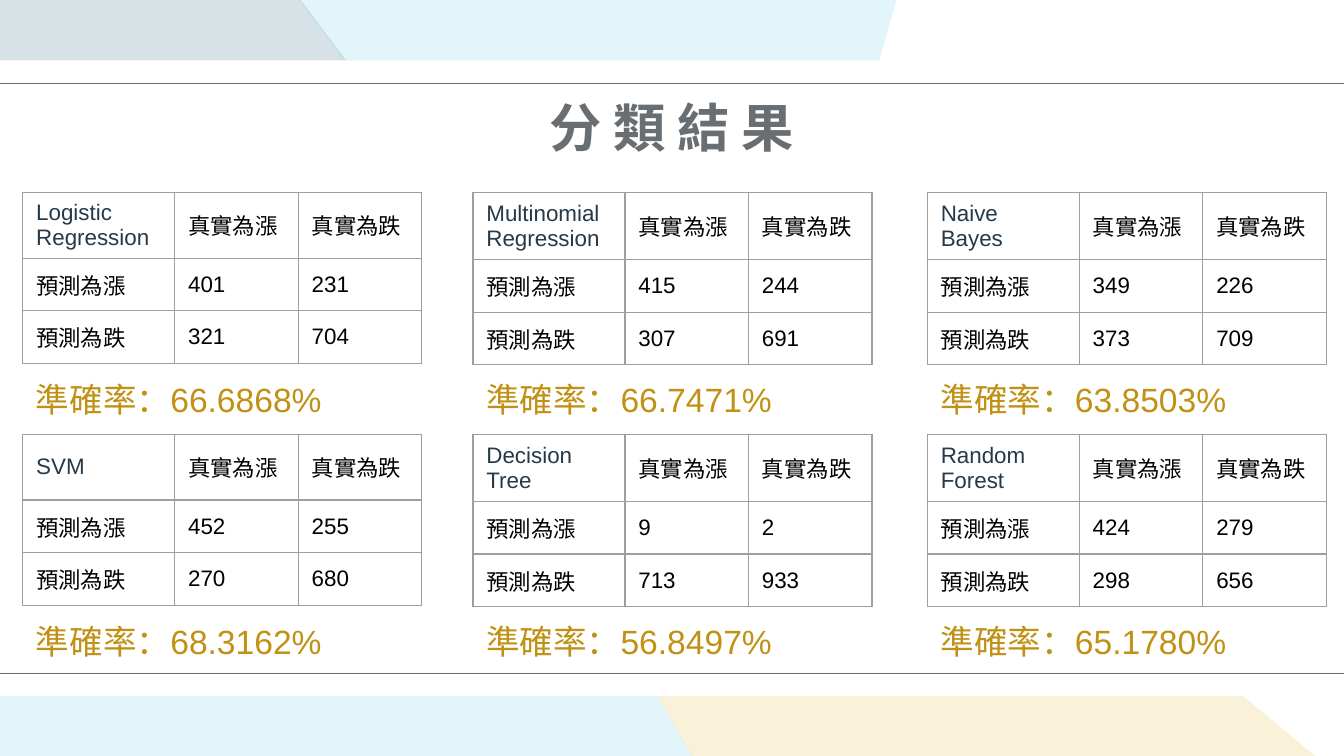
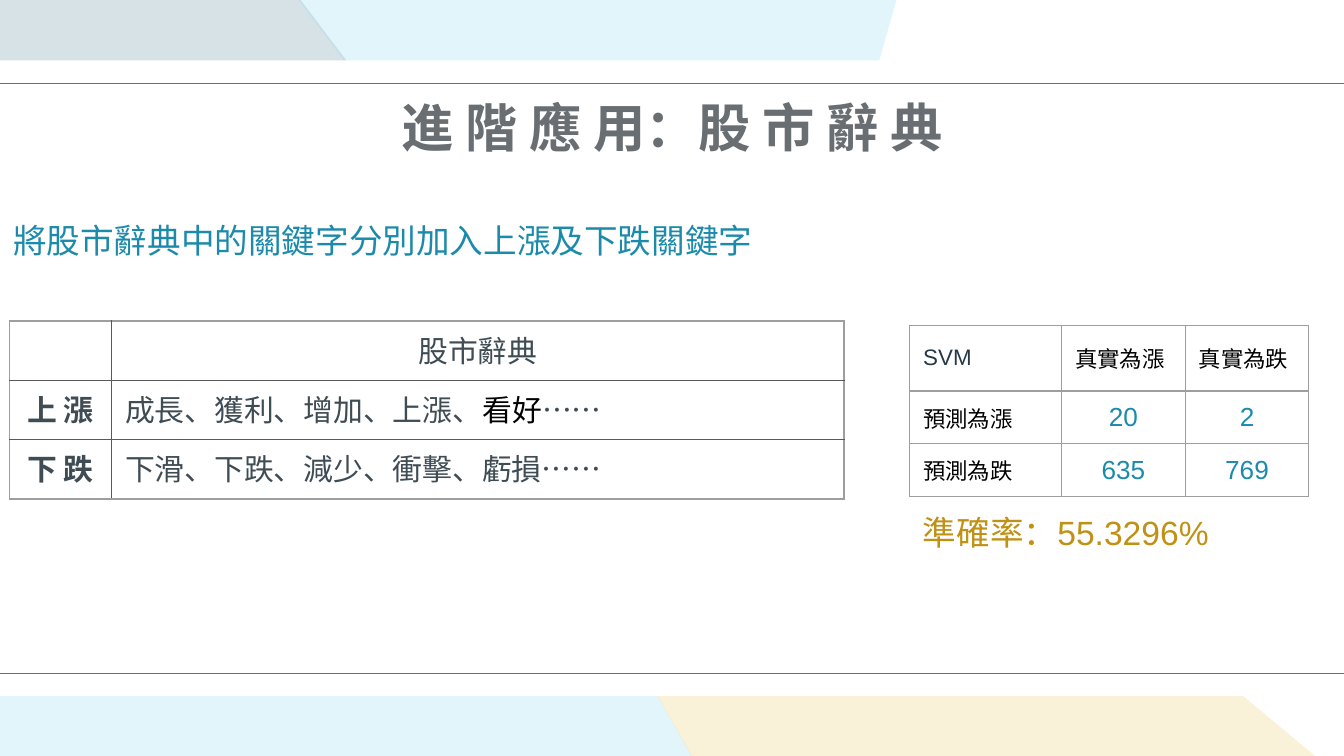
from lxml import etree
from pptx import Presentation
from pptx.dml.color import RGBColor
from pptx.enum.shapes import MSO_CONNECTOR, MSO_SHAPE, PP_PLACEHOLDER
from pptx.enum.text import MSO_ANCHOR as Anchor, MSO_AUTO_SIZE as AutoSize, PP_ALIGN as Align
from pptx.oxml.ns import qn
from pptx.util import Pt

BLACK = RGBColor(0x00, 0x00, 0x00)
WHITE = RGBColor(0xFF, 0xFF, 0xFF)
GRAY = RGBColor(0x69, 0x6E, 0x72)
SLATE = RGBColor(0x3F, 0x4C, 0x54)
NAVY = RGBColor(0x26, 0x39, 0x49)
GOLD = RGBColor(0xC1, 0x91, 0x15)
TEAL = RGBColor(0x1C, 0x8A, 0xAA)
BORDER = RGBColor(0x9E, 0x9E, 0x9E)
DARK_BORDER = RGBColor(0x59, 0x59, 0x59)
STEEL_BAND = RGBColor(0x96, 0xB3, 0xC1)
SKY_BAND = RGBColor(0x9E, 0xDD, 0xEF)
SAND_BAND = RGBColor(0xF7, 0xE5, 0xB7)

LATIN_FONT = "Arial"
CJK_FONT = "Noto Sans CJK TC"
OUTER_EDGE = (BORDER, 0.75)
INNER_EDGE = (DARK_BORDER, 1)

BANDS = [
    (STEEL_BAND, 38, [(-6, -9), (-6, 187), (395, 309), (152, -11.5)]),
    (SKY_BAND, 29, [(148, -16), (482.4, -6.5), (392.4, 309)]),
    (SKY_BAND, 29, [(-5, 187), (-5, 425.5), (383, 425.5), (299.5, 282)]),
    (SAND_BAND, 52, [(299.5, 281), (383, 427), (731, 427), (434, 180), (393, 309)]),
]
RULE_HEIGHTS = (44.6, 360.7)

TABLE_LEFTS = (12.2, 253.4, 496.8)
TABLE_TOPS = (103, 232.6)
RESULTS = [
    ("Logistic Regression", (401, 231, 321, 704), "66.6868%"),
    ("Multinomial Regression", (415, 244, 307, 691), "66.7471%"),
    ("Naive Bayes", (349, 226, 373, 709), "63.8503%"),
    ("SVM", (452, 255, 270, 680), "68.3162%"),
    ("Decision Tree", (9, 2, 713, 933), "56.8497%"),
    ("Random Forest", (424, 279, 298, 656), "65.1780%"),
]


def write_text(frame, spans, size=12, color=BLACK, font=LATIN_FONT, bold=False, align=Align.LEFT):
    para = frame.paragraphs[0]
    para.alignment = align
    if isinstance(spans, str):
        spans = [(spans, color)]
    for text, span_color in spans:
        span = para.add_run()
        span.text = text
        span.font.name = font
        span.font.size = Pt(size)
        span.font.bold = bold
        span.font.color.rgb = span_color
        east_asian = etree.SubElement(span._r.get_or_add_rPr(), qn("a:ea"))
        east_asian.set("typeface", CJK_FONT)


def add_label(page, text, left, top, width, **text_format):
    box = page.shapes.add_textbox(Pt(left), Pt(top), Pt(width), Pt(29))
    box.text_frame.word_wrap = True
    box.text_frame.auto_size = AutoSize.SHAPE_TO_FIT_TEXT
    write_text(box.text_frame, text, size=18, **text_format)


def paint(shape, color, opacity=100):
    shape.shadow.inherit = False
    shape.fill.solid()
    shape.fill.fore_color.rgb = color
    shape.line.fill.background()
    if opacity < 100:
        alpha = etree.SubElement(next(shape.element.iter(qn("a:srgbClr"))), qn("a:alpha"))
        alpha.set("val", str(opacity * 1000))


def add_band(page, color, opacity, points):
    builder = page.shapes.build_freeform(*points[0], scale=Pt(1))
    builder.add_line_segments(points[1:], close=True)
    band = builder.convert_to_shape()
    paint(band, color, opacity)
    return band


def add_rule(page, height):
    rule = page.shapes.add_connector(
        MSO_CONNECTOR.STRAIGHT, Pt(-8.6), Pt(height), Pt(723), Pt(height)
    )
    rule.line.color.rgb = GRAY
    rule.line.width = Pt(0.75)
    etree.SubElement(rule.element.spPr, qn("a:effectLst"))
    return rule


def move_backdrop_to_layout(page):
    layout = page.slide_layout
    for holder in list(layout.placeholders):
        if holder.placeholder_format.type != PP_PLACEHOLDER.TITLE:
            layout.shapes.element.remove(holder.element)
    backdrop = [add_band(page, *band) for band in BANDS]
    panel = page.shapes.add_shape(MSO_SHAPE.RECTANGLE, Pt(-2), Pt(32.4), Pt(723.6), Pt(340.6))
    paint(panel, WHITE)
    backdrop.append(panel)
    backdrop += [add_rule(page, height) for height in RULE_HEIGHTS]
    for shape in backdrop:
        layout.shapes.element.append(shape.element)


def add_page(deck, title):
    page = deck.slides.add_slide(deck.slide_layouts[5])
    holder = page.shapes.title
    holder.left, holder.top, holder.width, holder.height = Pt(155.5), Pt(46.8), Pt(409), Pt(41.8)
    frame = holder.text_frame
    frame.margin_left = frame.margin_right = frame.margin_top = frame.margin_bottom = Pt(7.2)
    frame.vertical_anchor = Anchor.MIDDLE
    frame.auto_size = AutoSize.NONE
    write_text(frame, title, size=28, color=GRAY, bold=True, align=Align.CENTER)
    return page


def set_borders(cell, edges):
    cell.fill.background()
    properties = cell._tc.get_or_add_tcPr()
    for index, (side, (color, width)) in enumerate(zip("LRTB", edges)):
        line = etree.Element(qn(f"a:ln{side}"), w=str(Pt(width)))
        fill = etree.SubElement(line, qn("a:solidFill"))
        etree.SubElement(fill, qn("a:srgbClr")).set("val", str(color))
        properties.insert(index, line)


def add_grid(page, left, top, widths, heights, inner=OUTER_EDGE):
    table = page.shapes.add_table(
        len(heights), len(widths), Pt(left), Pt(top), Pt(sum(widths)), Pt(sum(heights))
    ).table
    table.first_row = table.horz_banding = False
    for column, width in zip(table.columns, widths):
        column.width = Pt(width)
    for row, height in zip(table.rows, heights):
        row.height = Pt(height)
    for r in range(len(heights)):
        for c in range(len(widths)):
            on_rim = (c == 0, c == len(widths) - 1, r == 0, r == len(heights) - 1)
            set_borders(table.cell(r, c), [OUTER_EDGE if rim else inner for rim in on_rim])
    return table


def add_confusion_table(page, left, top, model, counts, accuracy, **count_format):
    table = add_grid(page, left, top, (81.4, 66.2, 66.2), (35.3, 28.2, 28.2))
    rows = [
        (model, "真實為漲", "真實為跌"),
        ("預測為漲", *counts[:2]),
        ("預測為跌", *counts[2:]),
    ]
    for r, row in enumerate(rows):
        for c, value in enumerate(row):
            cell = table.cell(r, c)
            cell.vertical_anchor = Anchor.MIDDLE
            text_format = count_format if r and c else {"color": BLACK if r or c else NAVY}
            write_text(cell.text_frame, str(value), **text_format)
    add_label(page, f"準確率：{accuracy}", left, top + 96.5, 213.8, color=GOLD)


def add_dictionary_table(page):
    table = add_grid(page, 5, 172, (54.8, 392.4), (31.8,) * 3, inner=INNER_EDGE)
    write_text(table.cell(0, 1).text_frame, "股市辭典", size=16, color=SLATE, align=Align.CENTER)
    entries = [
        ("上 漲", [("成長、獲利、增加、上漲、", SLATE), ("看好", BLACK), ("……", SLATE)]),
        ("下 跌", "下滑、下跌、減少、衝擊、虧損……"),
    ]
    for r, (trend, words) in enumerate(entries, start=1):
        write_text(
            table.cell(r, 0).text_frame, trend,
            size=16, color=SLATE, bold=True, align=Align.CENTER,
        )
        write_text(table.cell(r, 1).text_frame, words, size=16, color=SLATE)


def build_results(deck):
    page = add_page(deck, "分 類 結 果")
    move_backdrop_to_layout(page)
    for index, result in enumerate(RESULTS):
        row, column = divmod(index, len(TABLE_LEFTS))
        add_confusion_table(page, TABLE_LEFTS[column], TABLE_TOPS[row], *result)


def build_dictionary(deck):
    page = add_page(deck, "進 階 應 用：股 市 辭 典")
    add_label(
        page, "將股市辭典中的關鍵字分別加入上漲及下跌關鍵字", 0, 114.5, 414.7,
        color=TEAL, font=CJK_FONT,
    )
    add_dictionary_table(page)
    add_confusion_table(
        page, 487.4, 174.2, "SVM", (20, 2, 635, 769), "55.3296%",
        size=14, color=TEAL, align=Align.CENTER,
    )


def main():
    deck = Presentation()
    deck.slide_width, deck.slide_height = Pt(720), Pt(405)
    build_results(deck)
    build_dictionary(deck)
    deck.save("out.pptx")


if __name__ == "__main__":
    main()
